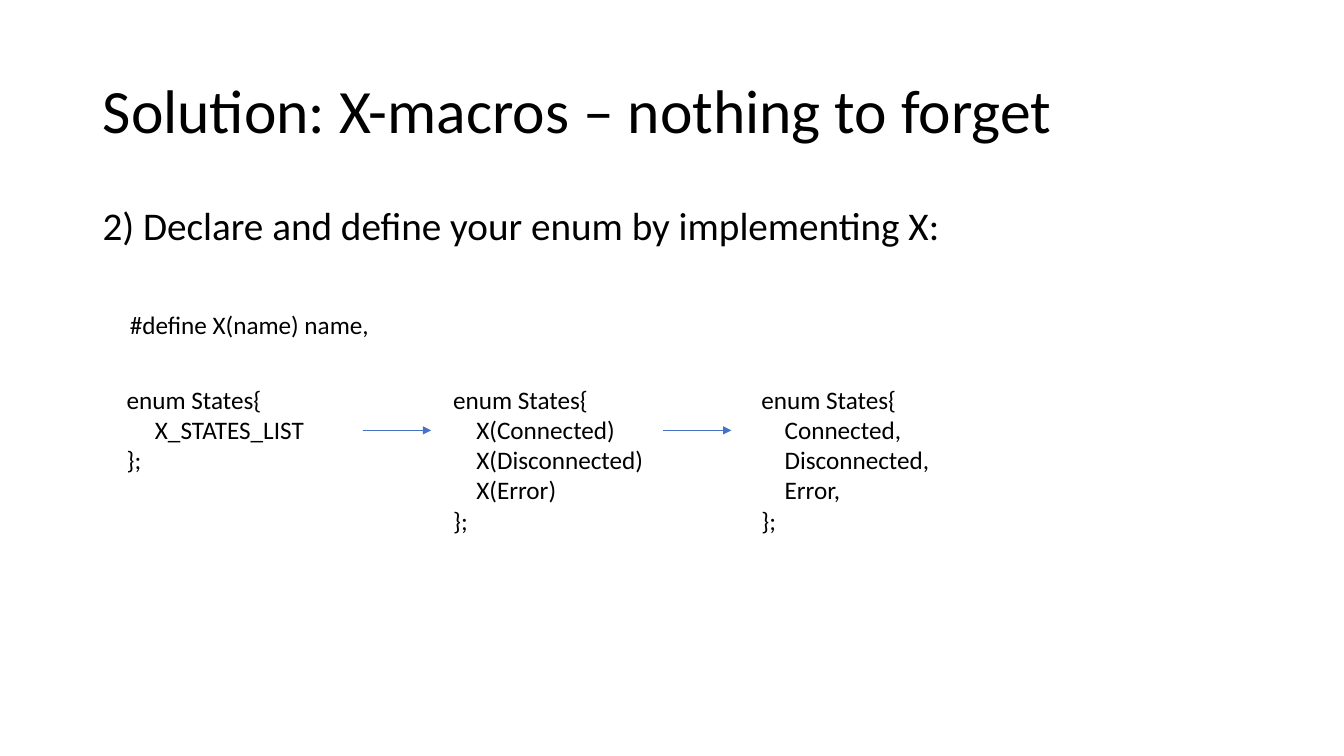
from pptx import Presentation
from pptx.dml.color import RGBColor
from pptx.enum.shapes import MSO_CONNECTOR
from pptx.enum.text import MSO_ANCHOR, PP_ALIGN
from pptx.oxml.ns import qn
from pptx.util import Inches, Pt
from lxml import etree

STRAIGHT = MSO_CONNECTOR.STRAIGHT
MIDDLE, TOP = MSO_ANCHOR.MIDDLE, MSO_ANCHOR.TOP
LEFT = PP_ALIGN.LEFT

# Content
TITLE = "Solution: X-macros – nothing to forget"
STEP = "2) Declare and define your enum by implementing X:"
MACRO = "#define X(name) name,"
ENUM_STAGES = [  # left, width, indent of the body, body lines
    (1.16, 2.1, 0.28, ["X_STATES_LIST"]),
    (4.4, 2.18, 0.23, ["X(Connected)", "X(Disconnected)", "X(Error)"]),
    (7.46, 1.96, 0.23, ["Connected,", "Disconnected,", "Error,"]),
]
ARROW_STARTS = [3.6, 6.58]

# Style
COLORS = {"text": "000000", "arrow": "4472C4"}
FONT = "Calibri"
CODE_SIZE = 18
LINE_HEIGHT = 0.3
ENUM_TOP, ARROW_Y, ARROW_LENGTH = 3.76, 4.27, 0.68


def fill_text(shape, lines, size, spacing=1.0, anchor=TOP):
    """Write (text, indent) lines into a shape."""
    frame = shape.text_frame
    frame.text = "\n".join(text for text, _ in lines)
    frame.word_wrap = True
    frame.vertical_anchor = anchor
    for para, (_, indent) in zip(frame.paragraphs, lines):
        para.alignment = LEFT
        para.line_spacing = spacing
        if indent:
            para._p.get_or_add_pPr().set("marL", str(Inches(indent)))
        for span in para.runs:
            span.font.name = FONT
            span.font.size = Pt(size)
            span.font.color.rgb = RGBColor.from_string(COLORS["text"])


def add_code(slide, left, top, width, lines):
    height = 0.1 + LINE_HEIGHT * len(lines)
    box = slide.shapes.add_textbox(Inches(left), Inches(top), Inches(width), Inches(height))
    fill_text(box, lines, CODE_SIZE)


def add_arrow(slide, start):
    arrow = slide.shapes.add_connector(
        STRAIGHT, Inches(start), Inches(ARROW_Y), Inches(start + ARROW_LENGTH), Inches(ARROW_Y))
    arrow.line.color.rgb = RGBColor.from_string(COLORS["arrow"])
    arrow.line.width = Pt(0.5)
    etree.SubElement(arrow.line._get_or_add_ln(), qn("a:tailEnd"), type="triangle")
    etree.SubElement(arrow._element.spPr, qn("a:effectLst"))


def main():
    deck = Presentation()
    deck.slide_width, deck.slide_height = Inches(13.34), Inches(7.5)
    slide = deck.slides.add_slide(deck.slide_layouts[5])

    # Title and step
    title = slide.shapes.title
    title.left, title.top = Inches(0.92), Inches(0.4)
    title.width, title.height = Inches(11.5), Inches(1.45)
    fill_text(title, [(TITLE, 0)], 44, spacing=0.9, anchor=MIDDLE)
    step = slide.shapes.add_textbox(Inches(0.92), Inches(2), Inches(11.5), Inches(0.6))
    fill_text(step, [(STEP, 0)], 28, spacing=0.9)

    # Macro and the stages of its expansion
    add_code(slide, 1.19, 3.02, 2.67, [(MACRO, 0)])
    for left, width, indent, body in ENUM_STAGES:
        lines = [("enum States{", 0), *((text, indent) for text in body), ("};", 0)]
        add_code(slide, left, ENUM_TOP, width, lines)
    for start in ARROW_STARTS:
        add_arrow(slide, start)

    deck.save("out.pptx")


if __name__ == "__main__":
    main()
